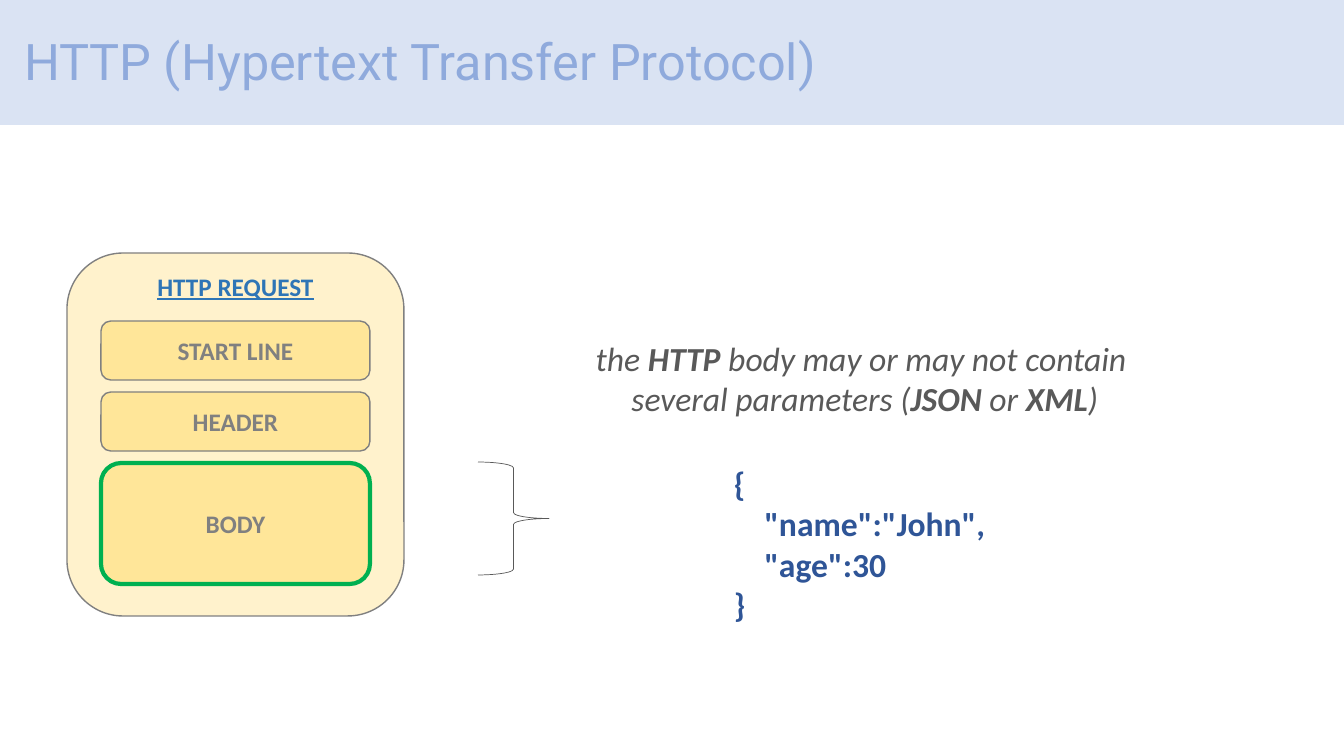
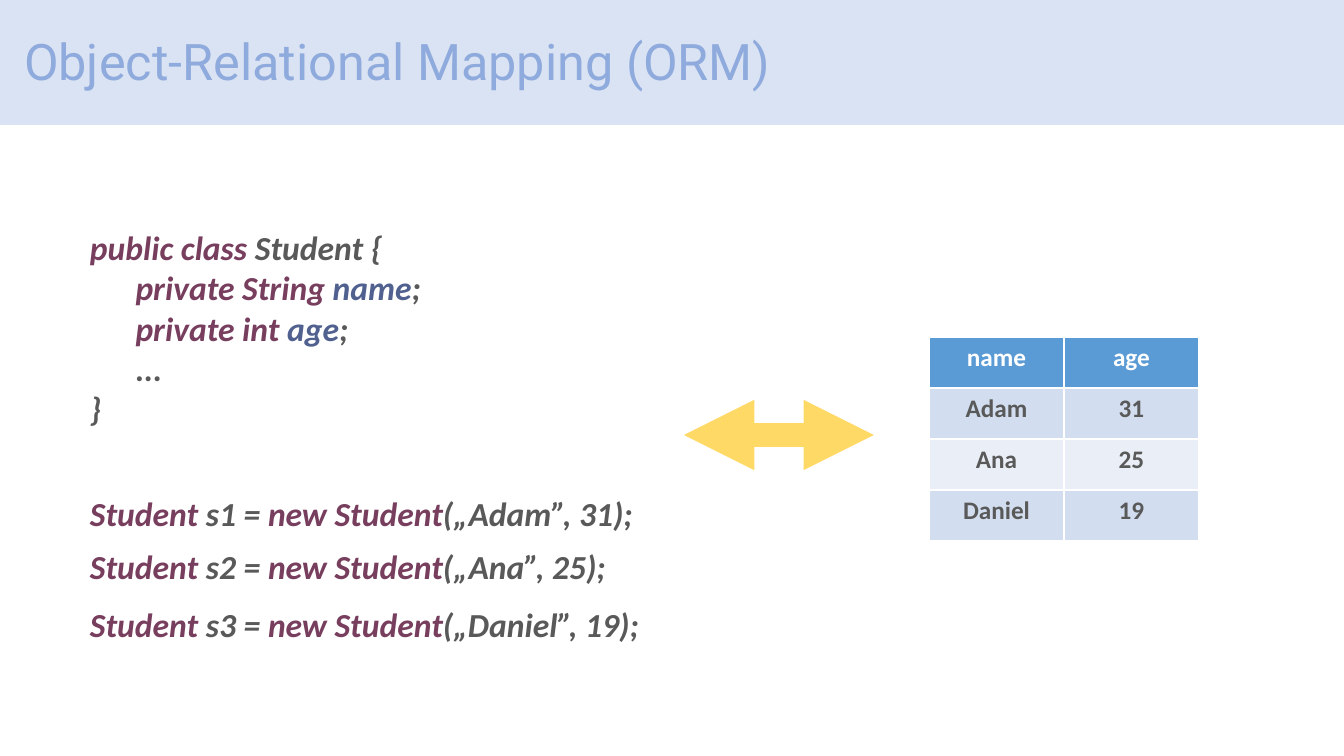
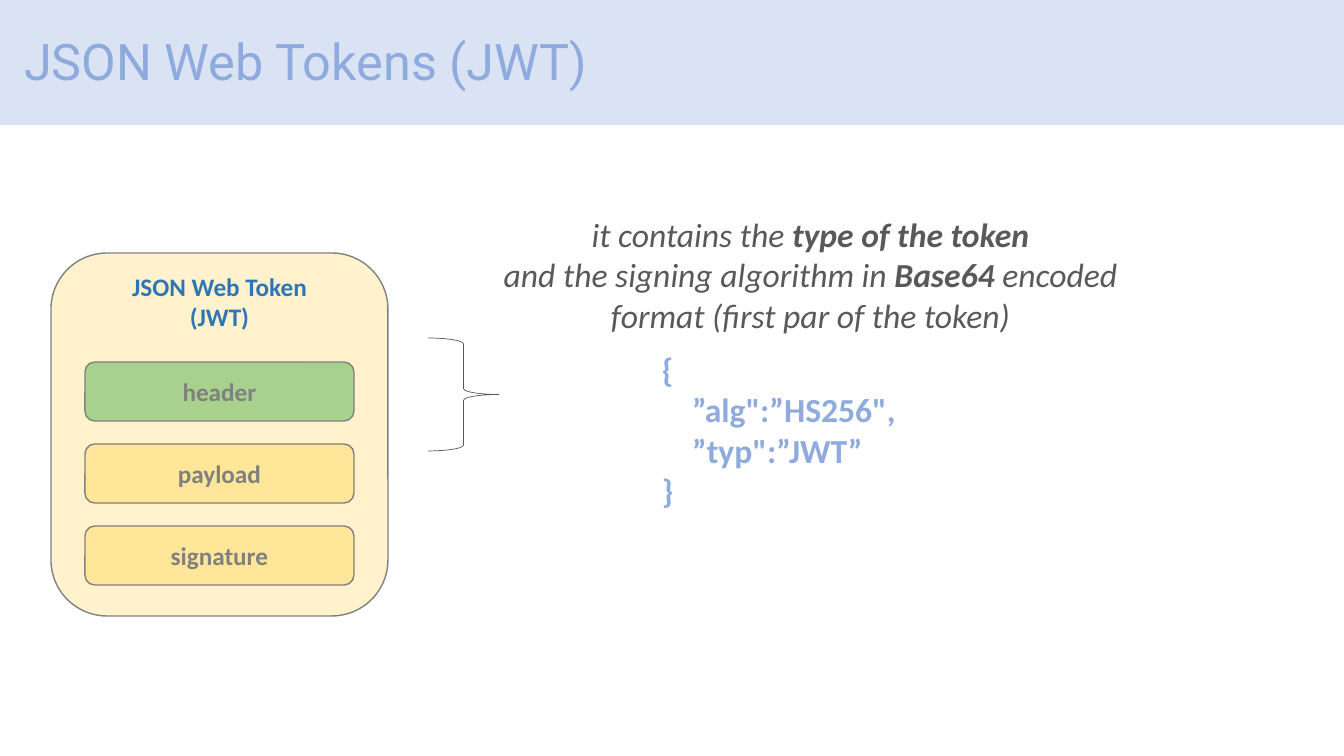
from itertools import cycle

from lxml import etree
from pptx import Presentation
from pptx import util as u
from pptx.dml.color import RGBColor
from pptx.enum import shapes as es, text as et
from pptx.oxml import ns

SCALE = 12192000 / 1344

BAND = RGBColor(0xDA, 0xE3, 0xF3)
SKY = RGBColor(0x8F, 0xAA, 0xDC)
BLUE = RGBColor(0x2E, 0x75, 0xB6)
NAVY = RGBColor(0x2F, 0x55, 0x97)
CREAM = RGBColor(0xFF, 0xF2, 0xCC)
SAND = RGBColor(0xFF, 0xE6, 0x99)
GOLD = RGBColor(0xFF, 0xD9, 0x66)
LEAF = RGBColor(0xA9, 0xD1, 0x8E)
GREEN = RGBColor(0x00, 0xB0, 0x50)
GRAY = RGBColor(0x80, 0x80, 0x80)
DARK = RGBColor(0x59, 0x59, 0x59)
PLUM = RGBColor(0x77, 0x3E, 0x5E)
SLATE = RGBColor(0x51, 0x61, 0x8F)
WHITE = RGBColor(0xFF, 0xFF, 0xFF)
HEAD = RGBColor(0x5B, 0x9B, 0xD5)
ROWS = (RGBColor(0xEA, 0xEF, 0xF7), RGBColor(0xD2, 0xDE, 0xEF))

LEFT, MID = et.PP_ALIGN.LEFT, et.PP_ALIGN.CENTER

TITLE = dict(name="Roboto", size=u.Pt(36), color=SKY)
LABEL = dict(name="Calibri", size=u.Pt(18), bold=True, color=GRAY)
TEXT = dict(name="Calibri", size=u.Pt(24), color=DARK, italic=True)
CODE = dict(name="Calibri", size=u.Pt(24), bold=True, color=NAVY)
KEY = dict(CODE, italic=True, color=PLUM)
FIELD = dict(KEY, color=SLATE)
PLAIN = dict(KEY, color=DARK)
PROSE = (TEXT, dict(TEXT, bold=True))


def px(*nums):
    return [u.Emu(round(n * SCALE)) for n in nums]


def style(font, form):
    for key, val in form.items():
        if key == "color":
            font.color.rgb = val
        else:
            setattr(font, key, val)


def mix(forms, *words):
    return list(zip(words, cycle(forms)))


def write(frame, lines, align=LEFT):
    for i, line in enumerate(lines):
        para = frame.add_paragraph() if i else frame.paragraphs[0]
        para.alignment = align
        for word, form in line:
            run = para.add_run()
            run.text = word
            style(run.font, form)


def label(slide, box, lines, align=LEFT):
    frame = slide.shapes.add_textbox(*px(*box)).text_frame
    frame.word_wrap = True
    write(frame, lines, align)


def shape(slide, kind, box, fill=None, line=GRAY, width=1):
    item = slide.shapes.add_shape(kind, *px(*box))
    item.shadow.inherit = False
    if fill is None:
        item.fill.background()
    else:
        item.fill.solid()
        item.fill.fore_color.rgb = fill
    item.line.color.rgb = line
    item.line.width = u.Pt(width)
    return item


def panel(slide, left, name, form):
    shape(slide, es.MSO_SHAPE.ROUNDED_RECTANGLE, (left, 253, 337, 363), CREAM)
    label(slide, (left, 266, 337, 72), [[(n, form)] for n in name], MID)


def part(slide, left, top, name, high=59, **look):
    box = (left + 34, top, 269, high)
    item = shape(slide, es.MSO_SHAPE.ROUNDED_RECTANGLE, box, **look)
    item.text_frame.vertical_anchor = et.MSO_ANCHOR.MIDDLE
    write(item.text_frame, [[(name, LABEL)]], MID)


def brace(slide, left, top):
    box = (left, top, 71, 113)
    shape(slide, es.MSO_SHAPE.RIGHT_BRACE, box, line=DARK, width=0.5)


def arrow(slide, start, end, y):
    line = slide.shapes.add_connector(
        es.MSO_CONNECTOR.STRAIGHT, *px(start, y, end, y))
    line.line.color.rgb = GOLD
    line.line.width = u.Pt(16.75)
    for tag in ("a:headEnd", "a:tailEnd"):
        tip = etree.SubElement(line.line._get_or_add_ln(), ns.qn(tag))
        tip.set("type", "triangle")
    etree.SubElement(line.element.spPr, ns.qn("a:effectLst"))


def table(slide, left, top, wide, high, data):
    size = px(left, top, wide * len(data[0]), high * len(data))
    grid = slide.shapes.add_table(len(data), len(data[0]), *size).table
    for r, row in enumerate(data):
        for c, word in enumerate(row):
            cell = grid.cell(r, c)
            cell.fill.solid()
            cell.fill.fore_color.rgb = ROWS[r % 2] if r else HEAD
            form = dict(LABEL, color=DARK if r else WHITE)
            write(cell.text_frame, [[(word, form)]], MID)


def title(slide, words):
    frame = slide.shapes.title.text_frame
    frame.auto_size = et.MSO_AUTO_SIZE.NONE
    frame.vertical_anchor = et.MSO_ANCHOR.MIDDLE
    write(frame, [[(words, TITLE)]])
    frame.paragraphs[0].line_spacing = 0.9


def dress(plan, slide):
    head = plan.placeholders[0]
    spots = zip(("left", "top", "width", "height"), px(14, -9, 1159, 146))
    for key, val in spots:
        setattr(head, key, val)
    band = shape(slide, es.MSO_SHAPE.RECTANGLE, (-14, -4, 1368, 130),
                 BAND, WHITE)
    head.element.addprevious(band.element)


def http(slide):
    title(slide, "HTTP (Hypertext Transfer Protocol)")
    left = 67
    panel(slide, left, ["HTTP REQUEST"],
          dict(LABEL, color=BLUE, underline=True))
    looks = (dict(), dict(), dict(high=121, line=GREEN, width=3))
    for i, name in enumerate(("START LINE", "HEADER", "BODY")):
        part(slide, left, 321 + 71 * i, name, fill=SAND, **looks[i])
    brace(slide, 478, 462)
    label(slide, (563, 333, 596, 92), [
        mix(PROSE, "the ", "HTTP", " body may or may not contain"),
        mix(PROSE, " several parameters (", "JSON", " or ", "XML", ")"),
    ], MID)
    lines = ("{", '    "name":"John",', '    "age":30', "}")
    label(slide, (724, 458, 300, 214), [[(w, CODE)] for w in lines])


def orm(slide):
    title(slide, "Object-Relational Mapping (ORM)")
    arrow(slide, 684, 874, 435)
    label(slide, (80, 222, 430, 214), [
        mix((KEY, PLAIN), "public class ", "Student {"),
        mix((KEY, FIELD, PLAIN), "      private String ", "name", ";"),
        mix((KEY, FIELD, PLAIN), "      private int ", "age", ";"),
        [("      ...", PLAIN)],
        [("}", PLAIN)],
    ])
    people = (("Adam", "31"), ("Ana", "25"), ("Daniel", "19"))
    table(slide, 929, 337, 135, 51, (("name", "age"), *people))
    for i, (top, (name, age)) in enumerate(zip((488, 541, 599), people), 1):
        line = mix((KEY, PLAIN), "Student ", f"s{i} = ", "new Student",
                   f"(„{name}”, {age});")
        label(slide, (80, top, 592, 50), [line])


def jwt(slide):
    title(slide, "JSON Web Tokens (JWT)")
    left = 51
    panel(slide, left, ["JSON Web Token", "(JWT)"], dict(LABEL, color=BLUE))
    for i, name in enumerate(("header", "payload", "signature")):
        part(slide, left, 362 + 82 * i, name, fill=SAND if i else LEAF)
    brace(slide, 428, 338)
    label(slide, (471, 209, 679, 132), [
        mix(PROSE, "it contains the ", "type of the token"),
        mix(PROSE, "and the signing algorithm in ", "Base64 ", "encoded"),
        mix(PROSE, "format (first par of the token)"),
    ], MID)
    lines = ("{", '    ”alg":”HS256",', '    ”typ":”JWT”', "}")
    form = dict(CODE, color=SKY)
    label(slide, (652, 344, 300, 214), [[(w, form)] for w in lines])


def main():
    deck = Presentation()
    deck.slide_width, deck.slide_height = px(1344, 756)
    plan = deck.slide_layouts[5]
    for i, build in enumerate((http, orm, jwt)):
        slide = deck.slides.add_slide(plan)
        if i == 0:
            dress(plan, slide)
        build(slide)
    deck.save("out.pptx")


if __name__ == "__main__":
    main()
